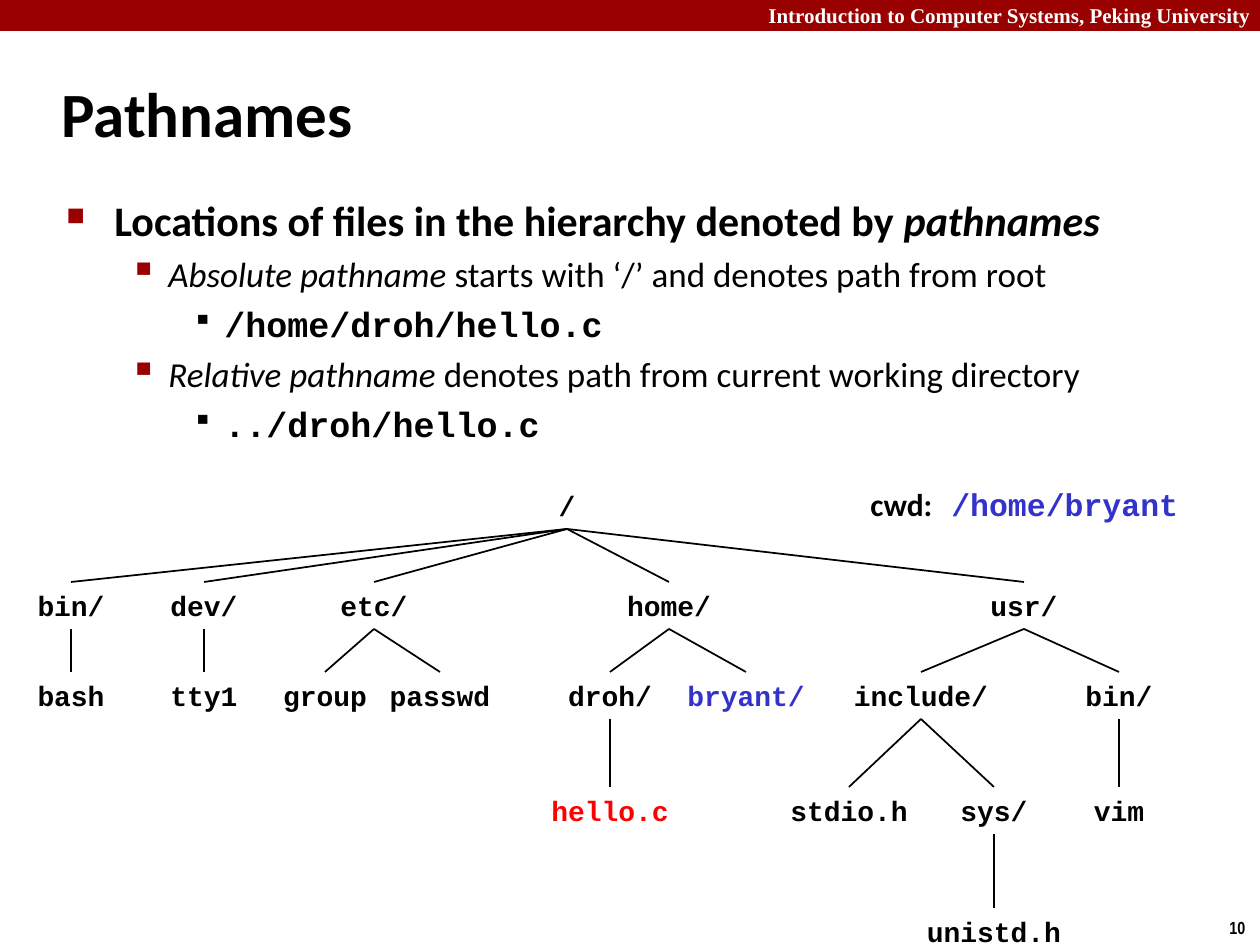
from lxml.etree import SubElement
from pptx import Presentation
from pptx.dml.color import RGBColor
from pptx.enum.shapes import MSO_CONNECTOR as Connector, MSO_SHAPE as Shape
from pptx.enum.text import MSO_ANCHOR as Anchor, PP_ALIGN as Align
from pptx.oxml.ns import qn
from pptx.util import Emu, Pt

EMU_PER_PX = 914400 / 126
BLACK, WHITE, RED, BLUE, CRIMSON = "000000", "FFFFFF", "FF0000", "3333CC", "990000"
SANS, MONO = "Calibri", "Courier New"
LEVEL_TOPS = [0, 100, 190, 305, 426]
NODE_HEIGHT = 47

FILE_TREE = ("/", 543, BLACK, [
    ("bin/", 47, BLACK, [("bash", 47, BLACK, [])]),
    ("dev/", 180, BLACK, [("tty1", 180, BLACK, [])]),
    ("etc/", 350, BLACK, [("group", 301, BLACK, []), ("passwd", 416, BLACK, [])]),
    ("home/", 645, BLACK, [
        ("droh/", 586, BLACK, [("hello.c", 586, RED, [])]),
        ("bryant/", 722, BLUE, []),
    ]),
    ("usr/", 1000, BLACK, [
        ("include/", 897, BLACK, [
            ("stdio.h", 825, BLACK, []),
            ("sys/", 970, BLACK, [("unistd.h", 970, BLACK, [])]),
        ]),
        ("bin/", 1095, BLACK, [("vim", 1095, BLACK, [])]),
    ]),
])

LEVEL_STYLES = [
    dict(left=48, hang=48, size=24, font=SANS, bold=True,
         before=0, bullet="■", bullet_color=CRIMSON, bullet_size=60),
    dict(left=102, hang=39, size=20, font=SANS, bold=False,
         before=4.5, bullet="▪", bullet_color=CRIMSON, bullet_size=110),
    dict(left=158, hang=32, size=20, font=MONO, bold=True,
         before=4.5, bullet="▪", bullet_color=BLACK, bullet_size=80),
]

OUTLINE = [
    (0, [("Locations of files in the hierarchy denoted by ", False), ("pathnames", True)]),
    (1, [("Absolute pathname ", True), ("starts with ‘/’ and denotes path from root", False)]),
    (2, [("/home/droh/hello.c", False)]),
    (1, [("Relative pathname ", True), ("denotes path from current working directory", False)]),
    (2, [("../droh/hello.c", False)]),
]


def px(length):
    return Emu(round(length * EMU_PER_PX))


def color(hex_value):
    return RGBColor.from_string(hex_value)


def style_font(font, name, size, hex_value, bold=True):
    font.name, font.size, font.bold = name, Pt(size), bold
    font.color.rgb = color(hex_value)


def add_frame(slide, box, wrap=True):
    holder = slide.shapes.add_textbox(*map(px, box))
    holder.text_frame.word_wrap = wrap
    return holder


def add_label(slide, box, text, name, size, hex_value=BLACK, wrap=False,
              align=Align.LEFT, anchor=Anchor.TOP):
    label = add_frame(slide, box, wrap)
    label.text_frame.vertical_anchor = anchor
    paragraph = label.text_frame.paragraphs[0]
    paragraph.text, paragraph.alignment = text, align
    style_font(paragraph.font, name, size, hex_value)
    return label


def add_header(slide, box):
    left, top, width, height = box
    band = slide.shapes.add_shape(Shape.RECTANGLE, *map(px, box))
    band.shadow.inherit = False
    band.fill.solid()
    band.fill.fore_color.rgb = color(CRIMSON)
    band.line.fill.background()
    add_label(slide, (left + width - 504, top - 4, 513, 38),
              "Introduction to Computer Systems, Peking University",
              "Times New Roman", 12, WHITE, wrap=True)


def set_bullet(paragraph, style):
    properties = paragraph._p.get_or_add_pPr()
    properties.set("marL", str(px(style["left"])))
    properties.set("indent", str(-px(style["hang"])))
    bullet_color = SubElement(properties, qn("a:buClr"))
    SubElement(bullet_color, qn("a:srgbClr"), val=style["bullet_color"])
    SubElement(properties, qn("a:buSzPct"), val=str(style["bullet_size"] * 1000))
    SubElement(properties, qn("a:buChar"), char=style["bullet"])


def add_outline(slide, box):
    frame = add_frame(slide, box).text_frame
    for index, (level, runs) in enumerate(OUTLINE):
        style = LEVEL_STYLES[level]
        paragraph = frame.add_paragraph() if index else frame.paragraphs[0]
        paragraph.level = level
        set_bullet(paragraph, style)
        if index:
            paragraph.space_before = Pt(style["before"])
        style_font(paragraph.font, style["font"], style["size"], BLACK, style["bold"])
        for text, italic in runs:
            run = paragraph.add_run()
            run.text, run.font.italic = text, italic


def add_working_directory(slide, box):
    paragraph = add_frame(slide, box, wrap=False).text_frame.paragraphs[0]
    for text, name, hex_value in [("cwd:", SANS, BLACK), (" /home/bryant", MONO, BLUE)]:
        run = paragraph.add_run()
        run.text = text
        style_font(run.font, name, 18, hex_value)


def add_branch(slide, parent, child):
    branch = slide.shapes.add_connector(Connector.STRAIGHT, 0, 0, 0, 0)
    branch.begin_connect(parent, 2)
    branch.end_connect(child, 0)
    branch.line.color.rgb = color(BLACK)
    branch.line.width = Pt(1)
    SubElement(branch._element.spPr, qn("a:effectLst"))


def add_tree(slide, origin, node, level=0):
    left, top = origin
    name, center, hex_value, children = node
    width = 25 + 17 * len(name)
    box = (left + center - width / 2, top + LEVEL_TOPS[level], width, NODE_HEIGHT)
    entry = add_label(slide, box, name, MONO, 16, hex_value, align=Align.CENTER)
    for child in children:
        add_branch(slide, entry, add_tree(slide, origin, child, level + 1))
    return entry


def main():
    deck = Presentation()
    deck.slide_width, deck.slide_height = px(1260), px(945)
    slide = deck.slides.add_slide(deck.slide_layouts[6])
    add_header(slide, (0, 0, 1260, 31))
    add_label(slide, (49, 60, 1046, 105), "Pathnames", SANS, 36,
              wrap=True, anchor=Anchor.MIDDLE)
    add_outline(slide, (54, 188, 1174, 263))
    add_tree(slide, (24, 482), FILE_TREE)
    add_working_directory(slide, (858, 479, 336, 50))
    add_label(slide, (1217, 911, 43, 34), "10", "Arial Narrow", 10)
    deck.save("out.pptx")


if __name__ == "__main__":
    main()
